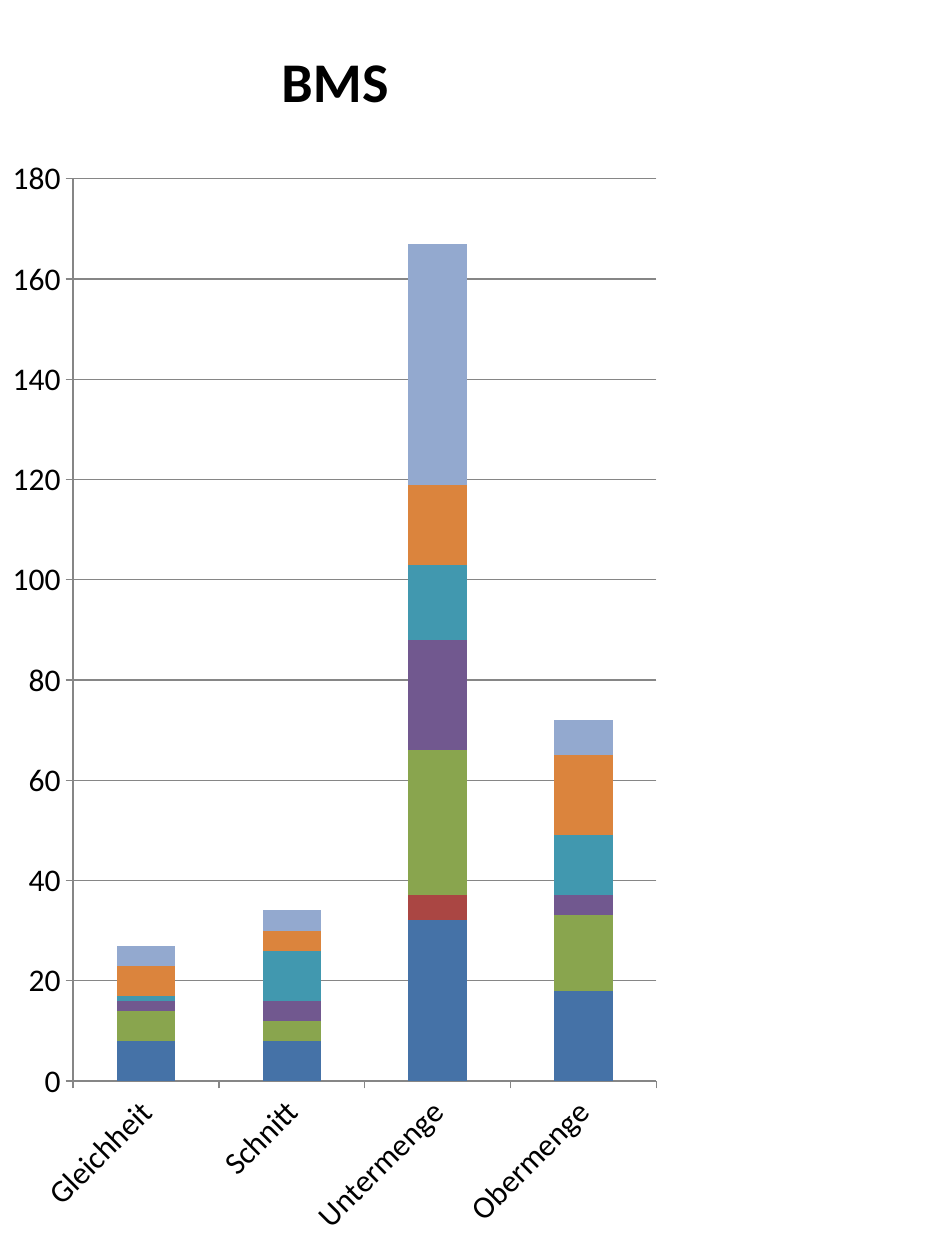
import pptx
import pptx.chart.data
import pptx.dml.color
import pptx.enum.chart
import pptx.oxml
import pptx.oxml.ns
import pptx.util

Inches = pptx.util.Inches
Pt = pptx.util.Pt
RGBColor = pptx.dml.color.RGBColor
qn = pptx.oxml.ns.qn

FONT = "Calibri"
BLACK = RGBColor(0x00, 0x00, 0x00)
GREY = RGBColor(0x86, 0x86, 0x86)

TITLE = "BMS"
CATEGORIES = ["Gleichheit", "Schnitt", "Untermenge", "Obermenge"]
SERIES = [
    ("Series 1", (8, 8, 32, 18), RGBColor(0x45, 0x72, 0xA7)),
    ("Series 2", (0, 0, 5, 0), RGBColor(0xAA, 0x46, 0x43)),
    ("Series 3", (6, 4, 29, 15), RGBColor(0x89, 0xA5, 0x4E)),
    ("Series 4", (2, 4, 22, 4), RGBColor(0x71, 0x58, 0x8F)),
    ("Series 5", (1, 10, 15, 12), RGBColor(0x41, 0x98, 0xAF)),
    ("Series 6", (6, 4, 16, 16), RGBColor(0xDB, 0x84, 0x3D)),
    ("Series 7", (4, 4, 48, 7), RGBColor(0x93, 0xA9, 0xCF)),
]
CHART_W, CHART_H = 5.32, 10
PLOT_X, PLOT_Y, PLOT_W, PLOT_H = 0.58, 1.42, 4.63, 7.16


def style_font(font, size, bold=False):
    font.name = FONT
    font.size = Pt(size)
    font.bold = bold
    font.color.rgb = BLACK


def style_line(line):
    line.color.rgb = GREY
    line.width = Pt(0.75)


def place_plot(chart):
    area = chart._chartSpace.chart.plotArea
    for old in area.findall(qn("c:layout")):
        area.remove(old)
    fractions = {"x": PLOT_X / CHART_W, "y": PLOT_Y / CHART_H,
                 "w": PLOT_W / CHART_W, "h": PLOT_H / CHART_H}
    modes = "".join(f'<c:{k}Mode val="edge"/>' for k in "xy")
    sizes = "".join(f'<c:{k} val="{v:.4f}"/>' for k, v in fractions.items())
    area.insert(0, pptx.oxml.parse_xml(
        '<c:layout xmlns:c="http://schemas.openxmlformats.org/drawingml/2006/chart">'
        f'<c:manualLayout><c:layoutTarget val="inner"/>{modes}{sizes}'
        '</c:manualLayout></c:layout>'))


prs = pptx.Presentation()
prs.slide_width, prs.slide_height = Inches(7.5), Inches(10)
s = prs.slides.add_slide(prs.slide_layouts[6])

data = pptx.chart.data.CategoryChartData()
data.categories = CATEGORIES
for name, values, color in SERIES:
    data.add_series(name, values)
chart = s.shapes.add_chart(
    pptx.enum.chart.XL_CHART_TYPE.COLUMN_STACKED,
    Inches(0), Inches(0), Inches(CHART_W), Inches(CHART_H), data).chart
style_font(chart.font, 18)
chart.has_legend = False
chart.has_title = True
chart.chart_title.include_in_layout = False
r = chart.chart_title.text_frame.paragraphs[0].add_run()
r.text = TITLE
style_font(r.font, 32, bold=True)
place_plot(chart)

plot = chart.plots[0]
plot.gap_width = 150
plot.overlap = 100
plot.vary_by_categories = False
for series, (name, values, color) in zip(plot.series, SERIES):
    series.invert_if_negative = False
    series.format.fill.solid()
    series.format.fill.fore_color.rgb = color

for axis in (chart.category_axis, chart.value_axis):
    axis.major_tick_mark = pptx.enum.chart.XL_TICK_MARK.OUTSIDE
    axis.minor_tick_mark = pptx.enum.chart.XL_TICK_MARK.NONE
    style_line(axis.format.line)
    style_font(axis.tick_labels.font, 18)

body = chart.category_axis._element.find(qn("c:txPr")).find(qn("a:bodyPr"))
body.set("rot", str(-45 * 60000))
body.set("vert", "horz")

value_axis = chart.value_axis
value_axis.minimum_scale = 0
value_axis.maximum_scale = 180
value_axis.major_unit = 20
value_axis.has_major_gridlines = True
style_line(value_axis.major_gridlines.format.line)

prs.save("out.pptx")
